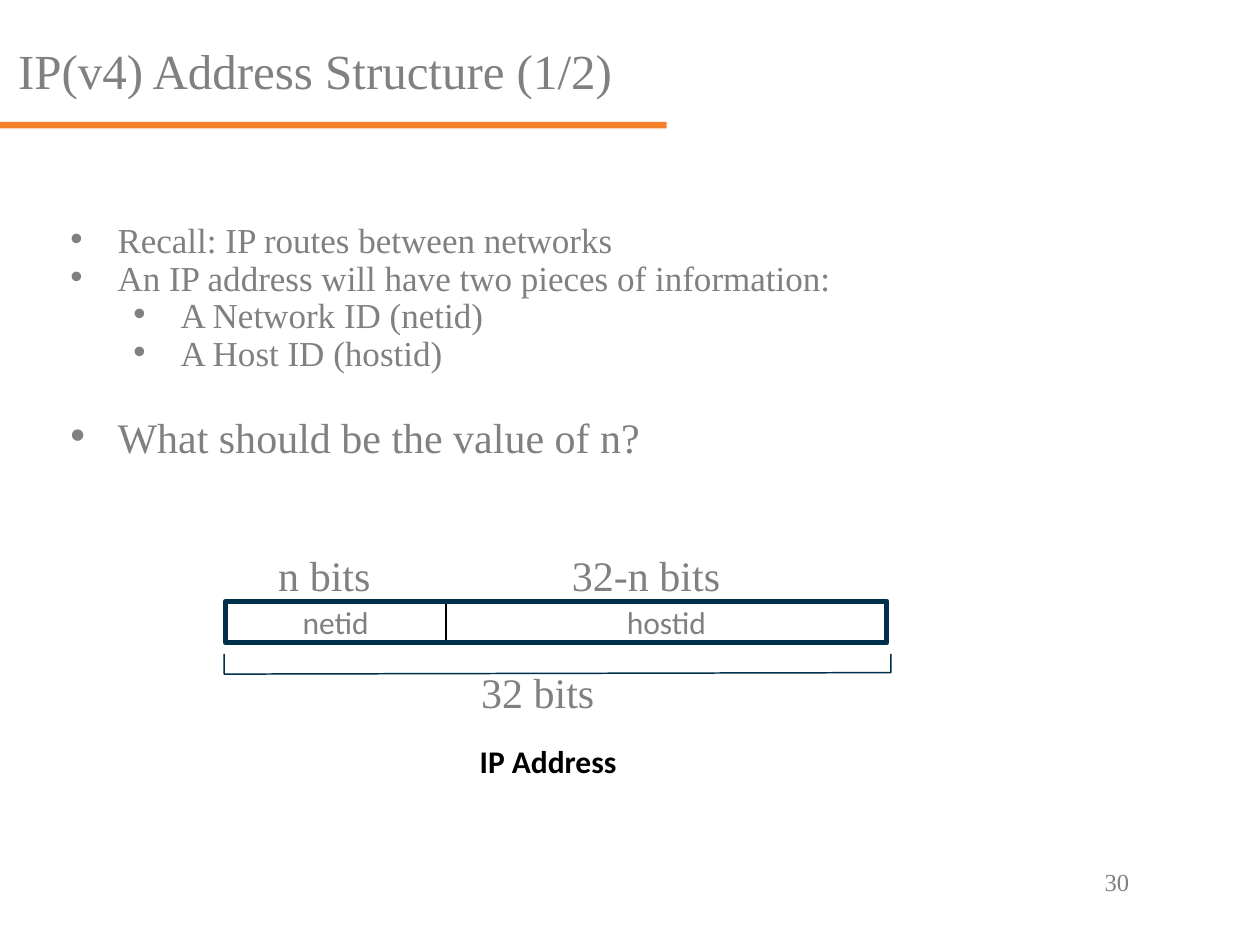
from dataclasses import dataclass

from lxml.etree import SubElement
from pptx import Presentation
from pptx.dml.color import RGBColor
from pptx.enum.shapes import MSO_SHAPE
from pptx.enum.text import MSO_ANCHOR, MSO_AUTO_SIZE, PP_ALIGN
from pptx.oxml.ns import qn
from pptx.util import Cm, Pt


@dataclass(frozen=True)
class Theme:
    serif: str = "Times New Roman"
    sans: str = "Calibri"
    gray: RGBColor = RGBColor(0x80, 0x80, 0x80)
    black: RGBColor = RGBColor(0, 0, 0)
    navy: RGBColor = RGBColor(0x00, 0x2F, 0x4B)
    orange: RGBColor = RGBColor(0xF4, 0x81, 0x2A)
    title: int = 28
    large: int = 24
    body: int = 20
    label: int = 18
    number: int = 14


THEME = Theme()


def style(paragraph, size, font=THEME.serif, color=THEME.gray, bold=False):
    paragraph.font.name = font
    paragraph.font.size = Pt(size)
    paragraph.font.color.rgb = color
    paragraph.font.bold = bold


def add_text(slide, box, text, size, grow=False, **font):
    """Add a one-line text box; a growing one does not wrap."""
    shape = slide.shapes.add_textbox(*map(Cm, box))
    frame = shape.text_frame
    frame.word_wrap = not grow
    frame.auto_size = MSO_AUTO_SIZE.SHAPE_TO_FIT_TEXT if grow else MSO_AUTO_SIZE.NONE
    paragraph = frame.paragraphs[0]
    paragraph.text = text
    style(paragraph, size, **font)
    return shape


def add_box(slide, box, fill=None, line=None, width=0.75):
    shape = slide.shapes.add_shape(MSO_SHAPE.RECTANGLE, *map(Cm, box))
    shape.shadow.inherit = False
    if fill is None:
        shape.fill.background()
    else:
        shape.fill.solid()
        shape.fill.fore_color.rgb = fill
    if line is None:
        shape.line.fill.background()
    else:
        shape.line.color.rgb = line
        shape.line.width = Pt(width)
    return shape


def add_field(slide, box, text):
    """Add one field of the address, with its name centred."""
    frame = add_box(slide, box, line=THEME.black).text_frame
    frame.word_wrap = False
    frame.vertical_anchor = MSO_ANCHOR.MIDDLE
    paragraph = frame.paragraphs[0]
    paragraph.text = text
    paragraph.alignment = PP_ALIGN.CENTER
    style(paragraph, THEME.label, font=THEME.sans)


def add_bullets(slide, box, items):
    """Add bullets given as (level, text, size, space before)."""
    frame = slide.shapes.add_textbox(*map(Cm, box)).text_frame
    frame.word_wrap = True
    for index, (level, text, size, space) in enumerate(items):
        paragraph = frame.add_paragraph() if index else frame.paragraphs[0]
        paragraph.text = text
        paragraph.level = level
        paragraph.line_spacing = 0.7
        paragraph.space_before = Pt(space)
        properties = paragraph._p.get_or_add_pPr()
        properties.set("marL", str(Cm(0.95 + 1.27 * level)))
        properties.set("indent", str(Cm(-0.95)))
        SubElement(properties, qn("a:buFont"), typeface="Arial")
        SubElement(properties, qn("a:buChar"), char="•")
        style(paragraph, size)


def add_bracket(slide, points):
    start, *others = [(Cm(x), Cm(y)) for x, y in points]
    builder = slide.shapes.build_freeform(*start)
    builder.add_line_segments(others, close=False)
    shape = builder.convert_to_shape()
    shape.shadow.inherit = False
    shape.fill.background()
    shape.line.color.rgb = THEME.navy
    shape.line.width = Pt(0.85)


def main():
    presentation = Presentation()
    presentation.slide_width, presentation.slide_height = Cm(25.4), Cm(19.05)
    slide = presentation.slides.add_slide(presentation.slide_layouts[6])

    # Title, rule and page number
    add_box(slide, (0, 2.46, 13.44, 0.13), fill=THEME.orange)
    add_text(slide, (22.02, 17.35, 1.47, 0.64), "30", THEME.number)
    title = add_text(slide, (0, 0.71, 12.7, 1.4), "IP(v4) Address Structure (1/2)", THEME.title)
    title.text_frame.vertical_anchor = MSO_ANCHOR.MIDDLE
    title.text_frame.paragraphs[0].alignment = PP_ALIGN.CENTER

    # Bullets
    add_bullets(slide, (1.17, 4.52, 21.59, 11.43), [
        (0, "Recall: IP routes between networks", THEME.body, 0),
        (0, "An IP address will have two pieces of information:", THEME.body, 4.6),
        (1, "A Network ID (netid)", THEME.body, 4.6),
        (1, "A Host ID (hostid)", THEME.body, 4.6),
        (0, "What should be the value of n?", THEME.large, 30.3),
    ])

    # Address fields, side by side, with their lengths above
    left, top, height = 4.55, 12.12, 0.84
    field_left = left
    for name, width, length, length_left, length_width in (
        ("netid", 4.44, "n bits", 5.36, 2.39),
        ("hostid", 8.89, "32-n bits", 11.28, 3.53),
    ):
        add_field(slide, (field_left, top, width, height), name)
        add_text(slide, (length_left, 10.95, length_width, 1.27), length, THEME.large, grow=True)
        field_left += width
    add_box(slide, (left, top, field_left - left, height), line=THEME.navy, width=3)

    # Total length and caption
    add_text(slide, (9.42, 14.83, 3.68, 1.02), "IP Address", THEME.label, grow=True,
             font=THEME.sans, color=THEME.black, bold=True)
    add_bracket(slide, [(4.52, 13.18), (4.52, 13.59), (17.96, 13.56), (17.96, 13.18)])
    add_text(slide, (9.45, 13.31, 2.82, 1.27), "32 bits", THEME.large, grow=True)

    presentation.save("out.pptx")


if __name__ == "__main__":
    main()
